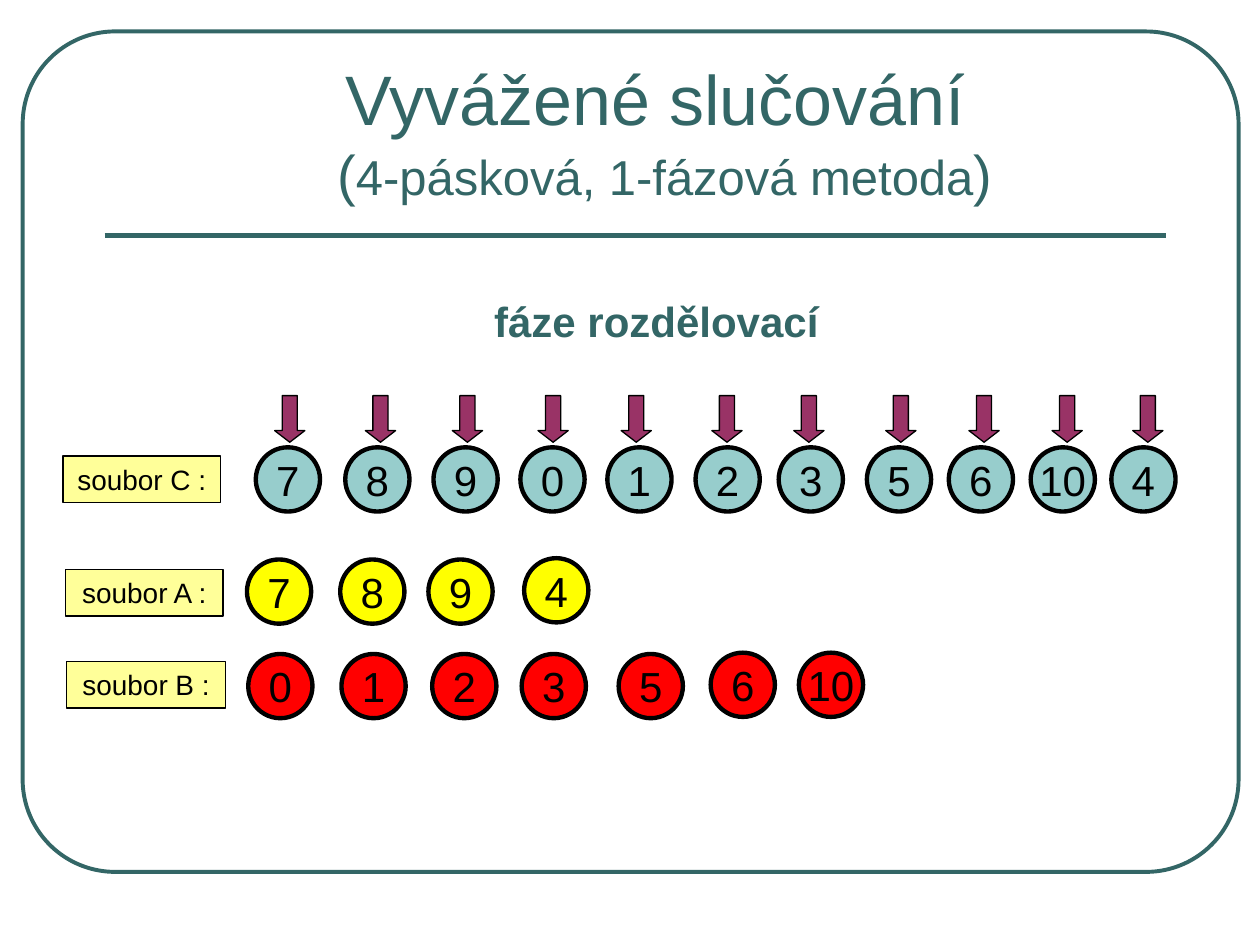
"""Build the slide on the distribution phase of balanced merging."""
from dataclasses import dataclass
from typing import Optional

from lxml.etree import SubElement
from pptx import Presentation
from pptx.dml.color import RGBColor
from pptx.enum.shapes import MSO_CONNECTOR, MSO_SHAPE
from pptx.enum.text import MSO_ANCHOR, MSO_AUTO_SIZE, PP_ALIGN
from pptx.oxml.ns import qn
from pptx.util import Inches, Pt

COLS, ROWS = 100, 75
CELL = Inches(0.1)
TEAL = RGBColor(0x33, 0x66, 0x66)
AQUA = RGBColor(0x97, 0xCD, 0xCC)
CREAM = RGBColor(0xFF, 0xFF, 0x99)
YELLOW = RGBColor(0xFF, 0xFF, 0x00)
RED = RGBColor(0xFF, 0x00, 0x00)
PLUM = RGBColor(0x99, 0x33, 0x66)
BLACK = RGBColor(0x00, 0x00, 0x00)


@dataclass(frozen=True)
class Box:
    """A place on the grid, in columns and rows."""
    col: float
    row: float
    wide: float
    high: float

    def emu(self) -> list[int]:
        """Return left, top, width and height."""
        return [round(n * CELL) for n in (self.col, self.row, self.wide, self.high)]


@dataclass(frozen=True)
class Look:
    """The preset, colours and line width of a shape."""
    kind: MSO_SHAPE
    fill: Optional[RGBColor]
    line: RGBColor
    width: float
    bends: tuple[float, ...] = ()


@dataclass(frozen=True)
class Tape:
    """A named file and the balls that it holds."""
    name: str
    label: Box
    fill: RGBColor
    row: float
    balls: dict[int, float]
    lift: tuple[int, ...] = ()


FRAME = Look(MSO_SHAPE.ROUNDED_RECTANGLE, None, TEAL, 2.25, (0.11,))
LABEL = Look(MSO_SHAPE.RECTANGLE, CREAM, BLACK, 0.75)
ARROW = Look(MSO_SHAPE.DOWN_ARROW, PLUM, BLACK, 0.75, (0.5, 0.385))
BALL = 5.1
MARKS = (21.8, 29, 35.9, 42.7, 49.3, 56.5, 63, 70.3, 76.9, 83.5, 89.9)
TAPES = (
    Tape("soubor C :", Box(5, 36.2, 12.5, 3.7), AQUA, 35.5,
         {7: 20.3, 8: 27.4, 9: 34.4, 0: 41.3, 1: 48.2, 2: 55.2,
          3: 61.8, 5: 68.8, 6: 75.3, 10: 81.8, 4: 88.2}),
    Tape("soubor A :", Box(5.2, 45.2, 12.5, 3.7), YELLOW, 44.4,
         {7: 19.6, 8: 27, 9: 34, 4: 41.6}, (4,)),
    Tape("soubor B :", Box(5.3, 52.5, 12.6, 3.7), RED, 51.9,
         {0: 19.7, 1: 27.1, 2: 34.3, 3: 41.4, 5: 49.1, 6: 56.4, 10: 63.4}, (6, 10)),
)
TITLE = (("Vyvážené slučování \v", 40), ("(", 32), ("4-pásková, 1-fázová metoda", 28), (")", 32))


def write(frame, runs, color: RGBColor, bold: bool = False, **form) -> None:
    """Fill a text frame with one centred paragraph of sized runs."""
    for key, val in form.items():
        setattr(frame, key, val)
    para = frame.paragraphs[0]
    para.alignment = PP_ALIGN.CENTER
    for text, size in runs:
        run = para.add_run()
        run.text = text.rstrip("\v")
        style = {"name": "Arial", "size": Pt(size), "bold": bold}
        for key, val in style.items():
            setattr(run.font, key, val)
        run.font.color.rgb = color
        if text.endswith("\v"):
            para.add_line_break()


def draw(slide, box: Box, look: Look):
    """Add a shape with its look and return it."""
    shape = slide.shapes.add_shape(look.kind, *box.emu())
    shape.shadow.inherit = False
    if look.fill is None:
        shape.fill.background()
    else:
        shape.fill.solid()
        shape.fill.fore_color.rgb = look.fill
    shape.line.color.rgb = look.line
    shape.line.width = Pt(look.width)
    for spot, bend in enumerate(look.bends):
        shape.adjustments[spot] = bend
    return shape


def rule(slide, left: float, right: float, row: float) -> None:
    """Draw the line below the title."""
    ends = [round(n * CELL) for n in (left, row, right, row)]
    line = slide.shapes.add_connector(MSO_CONNECTOR.STRAIGHT, *ends)
    line.line.color.rgb = TEAL
    line.line.width = Pt(3)
    SubElement(line._element.spPr, qn("a:effectLst"))


def head(slide) -> None:
    """Place and format the title."""
    title = slide.shapes.title
    sides = ("left", "top", "width", "height")
    for key, val in zip(sides, Box(12.9, 7.4, 79.7, 9.5).emu()):
        setattr(title, key, val)
    write(title.text_frame, TITLE, TEAL, word_wrap=True,
          auto_size=MSO_AUTO_SIZE.NONE, vertical_anchor=MSO_ANCHOR.BOTTOM)


def show(slide, tape: Tape) -> None:
    """Draw the label and the balls of a tape."""
    label = draw(slide, tape.label, LABEL)
    write(label.text_frame, [(tape.name, 16)], BLACK, word_wrap=False,
          auto_size=MSO_AUTO_SIZE.SHAPE_TO_FIT_TEXT, vertical_anchor=MSO_ANCHOR.TOP)
    look = Look(MSO_SHAPE.OVAL, tape.fill, BLACK, 2.5)
    for value, col in tape.balls.items():
        row = tape.row - 0.1 * (value in tape.lift)
        ball = draw(slide, Box(col, row, BALL, BALL), look)
        write(ball.text_frame, [(str(value), 24)], BLACK, word_wrap=False,
              vertical_anchor=MSO_ANCHOR.MIDDLE)


def main() -> None:
    """Build and save the slide."""
    deck = Presentation()
    deck.slide_width, deck.slide_height = COLS * CELL, ROWS * CELL
    slide = deck.slides.add_slide(deck.slide_layouts[5])
    draw(slide, Box(1.8, 2.5, 96.5, 66.7), FRAME)
    rule(slide, 8.3, 92.5, 18.7)
    head(slide)
    for tape in TAPES:
        show(slide, tape)
    for col in MARKS:
        draw(slide, Box(col, 31.4, 2.4, 3.7), ARROW)
    phase = slide.shapes.add_textbox(*Box(32.6, 23, 39, 5).emu())
    write(phase.text_frame, [("fáze rozdělovací", 24)], TEAL, True, word_wrap=True,
          auto_size=MSO_AUTO_SIZE.SHAPE_TO_FIT_TEXT)
    deck.save("out.pptx")


if __name__ == "__main__":
    main()
